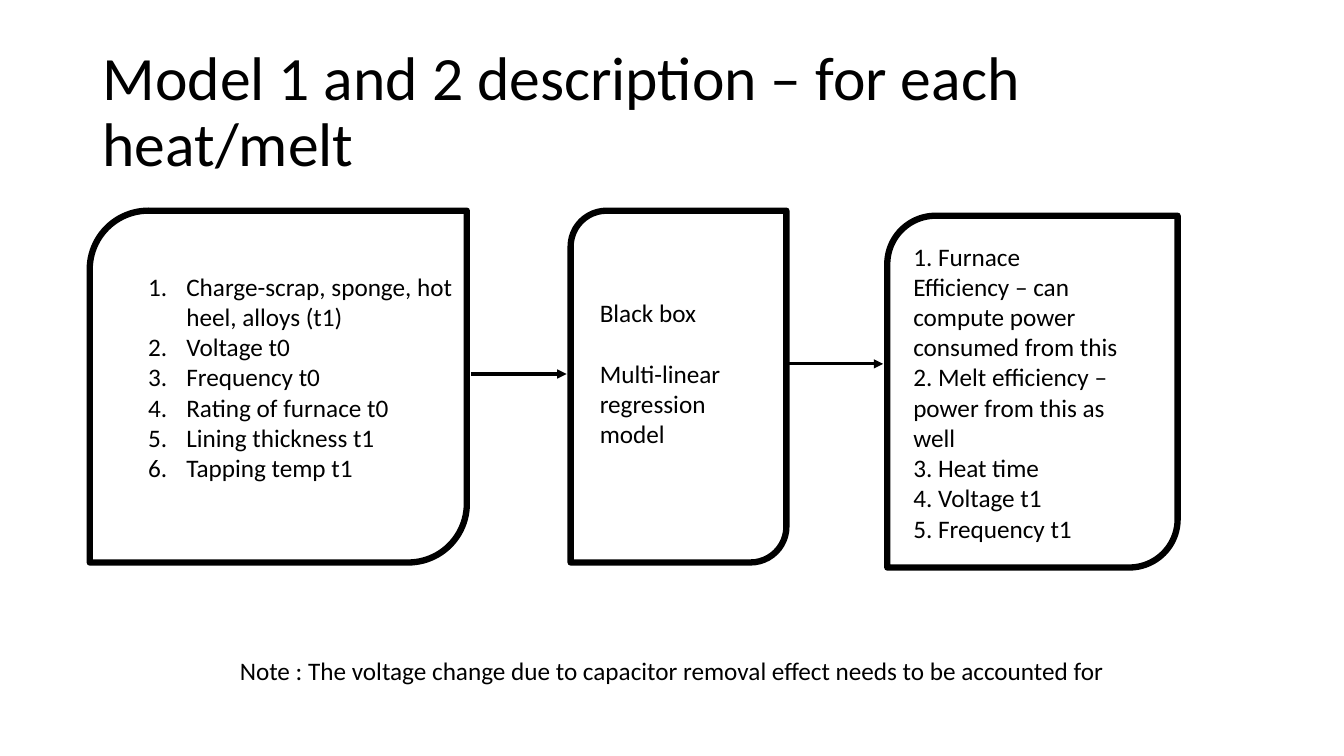
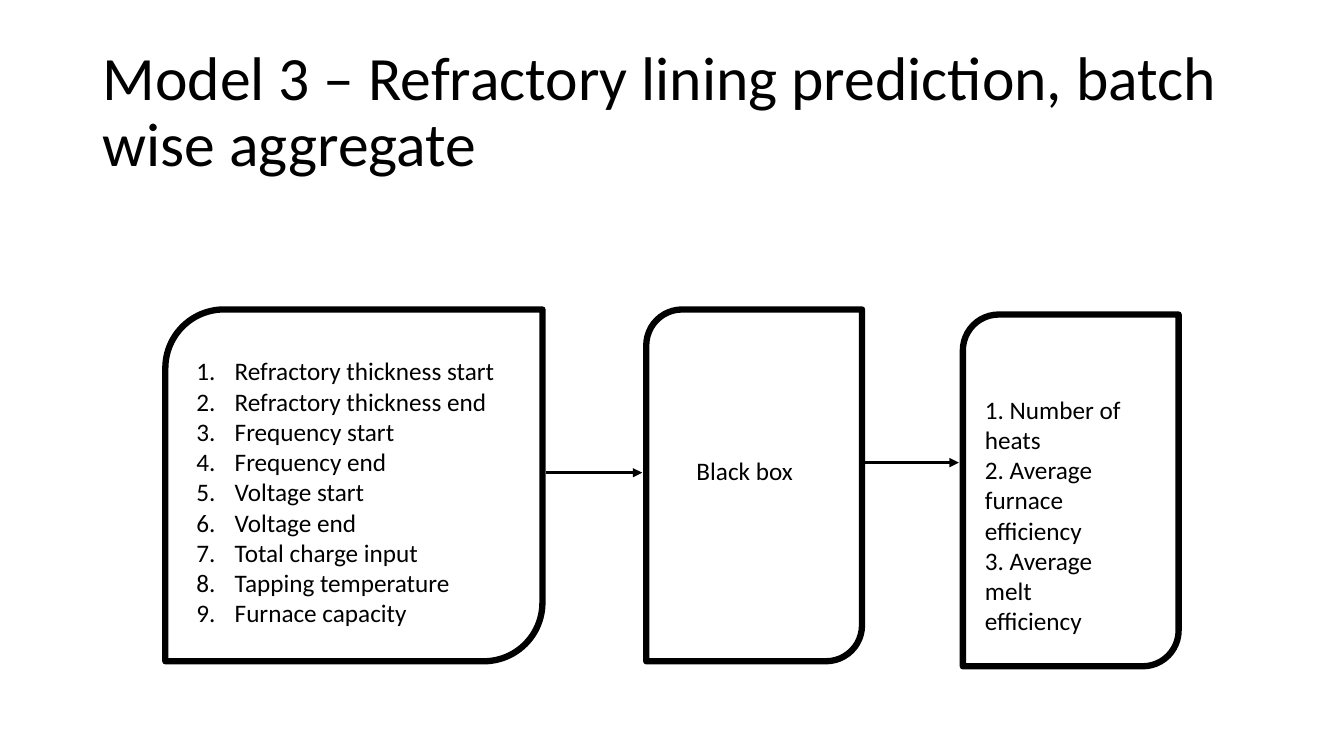
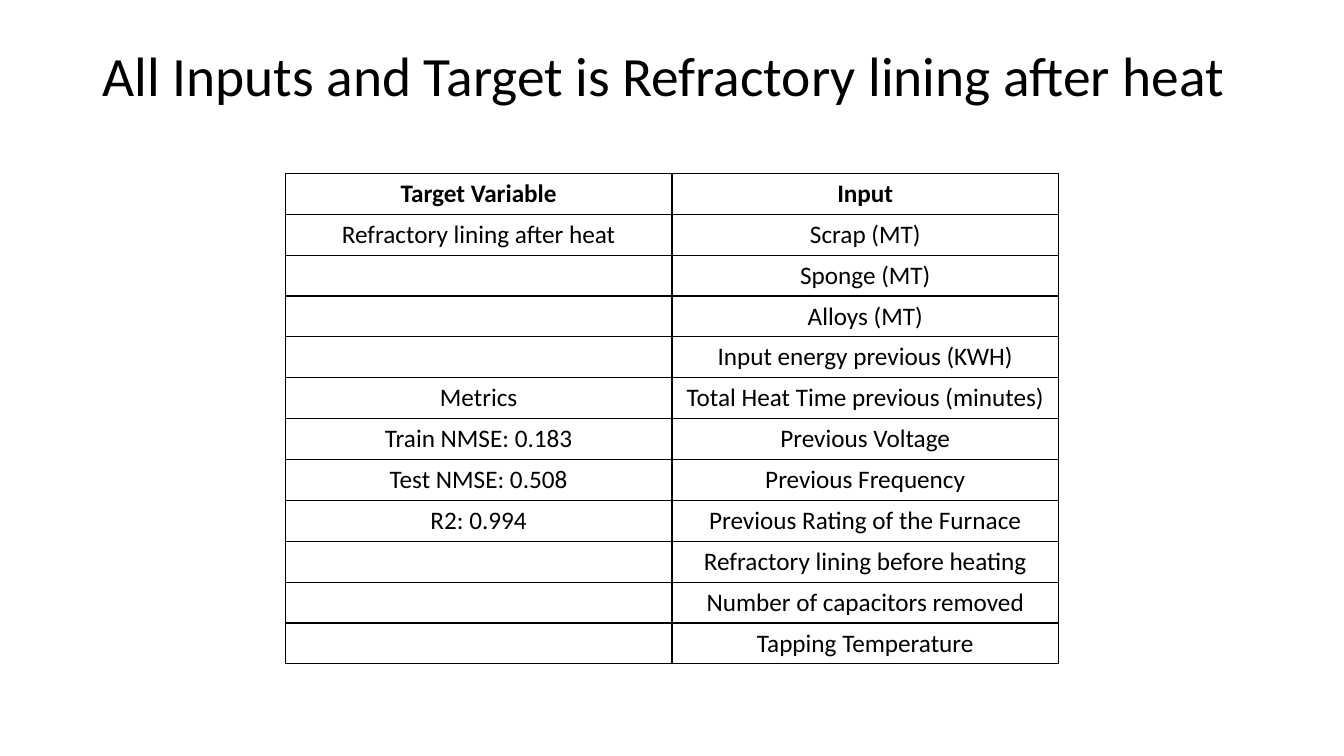
from dataclasses import dataclass

from lxml import etree
from pptx import Presentation
from pptx import util as u
from pptx.dml.color import RGBColor
from pptx.enum import shapes, text
from pptx.oxml import ns

PX = 9144  # EMU; 100 px make one inch


@dataclass(frozen=True)
class Theme:
    font: str = "Calibri"
    ink: str = "000000"
    paper: str = "FFFFFF"
    title: float = 44
    small_title: float = 39.6
    body: float = 18
    gap: float = 22
    box_line: float = 4.5
    arrow_line: float = 2.25
    cell_line: float = 1


def px(*lengths):
    return [u.Emu(n * PX) for n in lengths]


def child(parent, tag, **attrs):
    return etree.SubElement(parent, ns.qn(tag), attrs)


class Deck:
    def __init__(self, theme):
        self.theme = theme
        self.prs = Presentation()
        self.prs.slide_width, self.prs.slide_height = px(1333, 750)
        self.s = None

    def slide(self, title, height=145, size=None):
        self.s = self.prs.slides.add_slide(self.prs.slide_layouts[6])
        tf = self.text(92, 40, 1150, height, [title], size or self.theme.title)
        tf.vertical_anchor = text.MSO_ANCHOR.MIDDLE
        tf.paragraphs[0].line_spacing = 0.9

    def run(self, p, words, size=None, bold=False):
        r = p.add_run()
        r.text = words
        r.font.name = self.theme.font
        r.font.size = u.Pt(size or self.theme.body)
        r.font.bold = bold
        r.font.color.rgb = RGBColor.from_string(self.theme.ink)

    def text(self, x, y, w, h, lines, size=None, numbered=False, gap=0):
        """Add a text box with one paragraph per line, gap points apart."""
        tf = self.s.shapes.add_textbox(*px(x, y, w, h)).text_frame
        tf.word_wrap = True
        for i, line in enumerate(lines):
            p = tf.add_paragraph() if i else tf.paragraphs[0]
            self.run(p, line, size)
            if i and gap:
                p.space_before = u.Pt(gap)
            if numbered:
                pPr = p._p.get_or_add_pPr()
                pPr.set("marL", str(38 * PX))
                pPr.set("indent", str(-38 * PX))
                child(pPr, "a:buFont", typeface="+mj-lt")
                child(pPr, "a:buAutoNum", type="arabicPeriod")
        return tf

    def box(self, x, y, w, h):
        sp = self.s.shapes.add_shape(
            shapes.MSO_SHAPE.ROUND_2_DIAG_RECTANGLE, *px(x, y, w, h))
        sp.shadow.inherit = False
        sp.fill.solid()
        sp.fill.fore_color.rgb = RGBColor.from_string(self.theme.paper)
        sp.line.color.rgb = RGBColor.from_string(self.theme.ink)
        sp.line.width = u.Pt(self.theme.box_line)

    def arrow(self, x, y, length):
        cn = self.s.shapes.add_connector(
            shapes.MSO_CONNECTOR.STRAIGHT, *px(x, y, x + length, y))
        cn.line.color.rgb = RGBColor.from_string(self.theme.ink)
        cn.line.width = u.Pt(self.theme.arrow_line)
        child(cn.line._get_or_add_ln(), "a:tailEnd", type="triangle")
        child(cn._element.spPr, "a:effectLst")

    def flow(self, x, y, output_w):
        """Draw the input, model and output boxes joined by two arrows."""
        for dx, dy, w in ((0, 0, 374), (477, 0, 214), (791, 5, output_w)):
            self.box(x + dx, y + dy, w, 349)
        for dx, dy in ((378, 162), (692, 152)):
            self.arrow(x + dx, y + dy, 95)

    def table(self, x, y, w, h, rows):
        """Add a ruled, centred table whose first row is bold."""
        shape = self.s.shapes.add_table(len(rows), len(rows[0]), *px(x, y, w, h))
        tbl = shape.table
        tbl.first_row = tbl.horz_banding = False
        for i, row in enumerate(rows):
            for j, words in enumerate(row):
                cell = tbl.cell(i, j)
                cell.fill.solid()
                cell.fill.fore_color.rgb = RGBColor.from_string(self.theme.paper)
                self.borders(cell)
                p = cell.text_frame.paragraphs[0]
                p.alignment = text.PP_ALIGN.CENTER
                if words:
                    self.run(p, words, bold=i == 0)

    def borders(self, cell):
        tcPr = cell._tc.get_or_add_tcPr()
        for i, side in enumerate("LRTB"):
            ln = etree.Element(ns.qn("a:ln" + side),
                               w=str(u.Pt(self.theme.cell_line)))
            child(child(ln, "a:solidFill"), "a:srgbClr", val=self.theme.ink)
            tcPr.insert(i, ln)


def heat_model(d):
    d.slide("Model 1 and 2 description – for each heat/melt")
    d.flow(89, 209, 288)
    d.text(137, 264, 330, 283, [
        "Charge-scrap, sponge, hot heel, alloys (t1)", "Voltage t0",
        "Frequency t0", "Rating of furnace t0", "Lining thickness t1",
        "Tapping temp t1"], numbered=True)
    d.text(585, 290, 175, 162,
           ["Black box", "Multi-linear regression model"], gap=d.theme.gap)
    d.text(896, 234, 243, 313, [
        "1. Furnace", "Efficiency – can compute power consumed from this",
        "2. Melt efficiency – power from this as well", "3. Heat time",
        "4. Voltage t1", "5. Frequency t1"])
    d.text(228, 645, 888, 40, [
        "Note : The voltage change due to capacitor removal effect "
        "needs to be accounted for"])


def lining_model(d):
    d.slide("Model 3 – Refractory lining prediction, batch wise aggregate")
    d.flow(164, 307, 214)
    d.text(185, 348, 330, 313, [
        "Refractory thickness start", "Refractory thickness end",
        "Frequency start", "Frequency end", "Voltage start", "Voltage end",
        "Total charge input", "Tapping temperature", "Furnace capacity"],
        numbered=True)
    d.text(681, 447, 123, 40, ["Black box"])
    d.text(967, 386, 165, 252, [
        "1. Number of heats", "2. Average furnace efficiency",
        "3. Average melt efficiency"])


def lining_results(d):
    d.slide("All Inputs and Target is Refractory lining after heat",
            75, d.theme.small_title)
    d.table(283, 172, 767, 487, [
        ("Target Variable", "Input"),
        ("Refractory lining after heat", "Scrap (MT)"),
        ("", "Sponge (MT)"),
        ("", "Alloys (MT)"),
        ("", "Input energy previous (KWH)"),
        ("Metrics", "Total Heat Time previous (minutes)"),
        ("Train NMSE: 0.183", "Previous Voltage"),
        ("Test NMSE: 0.508", "Previous Frequency"),
        ("R2: 0.994", "Previous Rating of the Furnace"),
        ("", "Refractory lining before heating"),
        ("", "Number of capacitors removed"),
        ("", "Tapping Temperature")])


def main():
    d = Deck(Theme())
    heat_model(d)
    lining_model(d)
    lining_results(d)
    d.prs.save("out.pptx")


if __name__ == "__main__":
    main()
